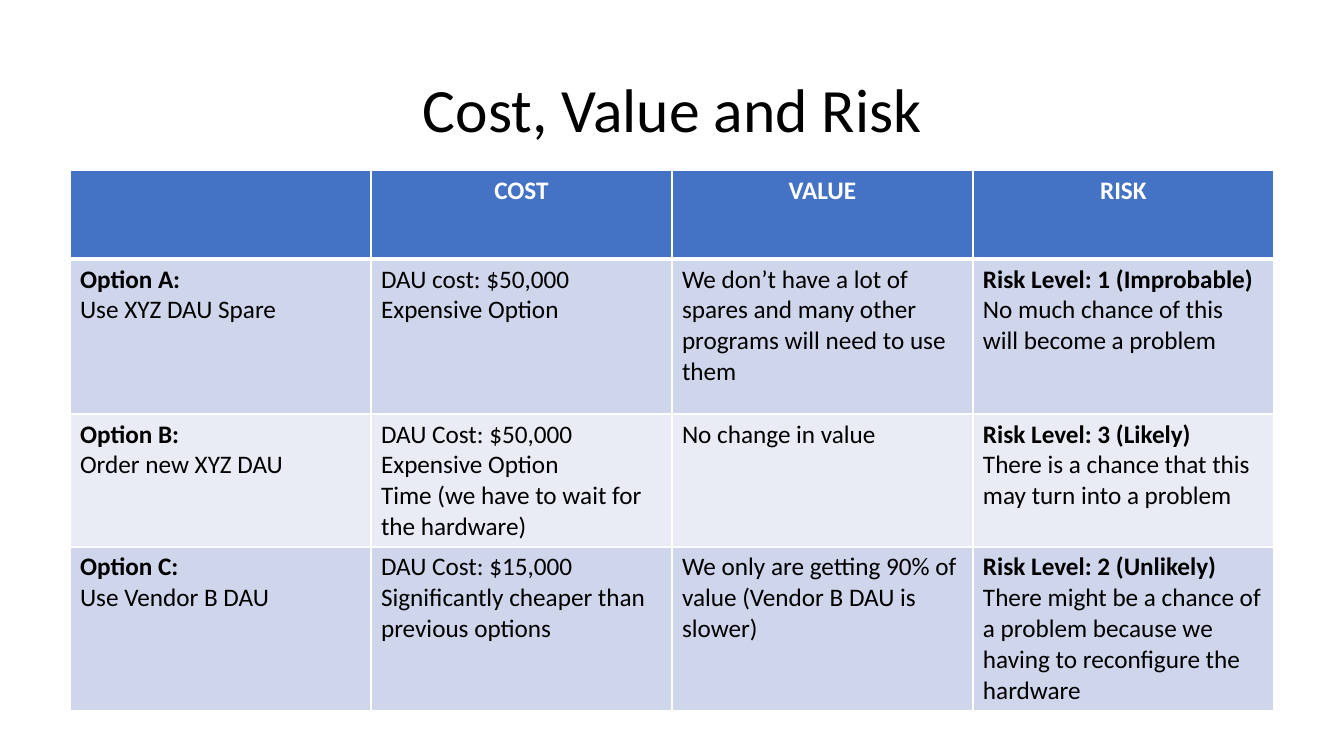
import pptx
import pptx.dml.color
import pptx.enum.text
import pptx.oxml
import pptx.oxml.ns
import pptx.util

TITLE = "Cost, Value and Risk"
HEADERS = ["", "COST", "VALUE", "RISK"]
# Each cell is a list of lines; the first and last columns open with a bold line
OPTIONS = [
    [["Option A:", "Use XYZ DAU Spare"],
     ["DAU cost: $50,000", "Expensive Option"],
     ["We don’t have a lot of spares and many other programs will need to use them"],
     ["Risk Level: 1 (Improbable)", "No much chance of this will become a problem"]],
    [["Option B:", "Order new XYZ DAU"],
     ["DAU Cost: $50,000", "Expensive Option", "Time (we have to wait for the hardware)"],
     ["No change in value"],
     ["Risk Level: 3 (Likely)", "There is a chance that this may turn into a problem"]],
    [["Option C:", "Use Vendor B DAU"],
     ["DAU Cost: $15,000", "Significantly cheaper than previous options"],
     ["We only are getting 90% of value (Vendor B DAU is slower)"],
     ["Risk Level: 2 (Unlikely)",
      "There might be a chance of a problem because we having to reconfigure the hardware"]],
]
BOLD_LEAD_COLUMNS = (0, 3)

FONT = "Calibri"
BLACK, WHITE = "000000", "FFFFFF"
HEADER_FILL = "4472C4"
BAND_FILLS = ["CFD5EA", "E9EBF5"]

# Lengths in px
SLIDE_SIZE = (1344, 756)
TITLE_BOX = (93, 40, 1159, 146)
TABLE_LEFT, TABLE_TOP, COLUMN_WIDTH = 70, 170, 301
ROW_HEIGHTS = [89, 155, 133, 164]
EMU_PER_PX = 914400 / 100.8

CENTER = pptx.enum.text.PP_ALIGN.CENTER
LEFT = pptx.enum.text.PP_ALIGN.LEFT


def px(length):
    return pptx.util.Emu(round(length * EMU_PER_PX))


def color(hex_string):
    return pptx.dml.color.RGBColor.from_string(hex_string)


def write_lines(text_frame, lines, size=18, ink=BLACK, align=LEFT, bold_lines=0, spacing=None):
    """Write one paragraph per line; the first bold_lines of them are bold."""
    for index, line in enumerate(lines):
        paragraph = text_frame.paragraphs[0] if index == 0 else text_frame.add_paragraph()
        paragraph.alignment = align
        paragraph.line_spacing = spacing
        paragraph.font.size = pptx.util.Pt(size)
        if not line:
            continue
        run = paragraph.add_run()
        run.text = line
        run.font.name = FONT
        run.font.size = pptx.util.Pt(size)
        run.font.bold = index < bold_lines
        run.font.color.rgb = color(ink)


def style_cell(cell, fill, top=1, bottom=1):
    """Draw white borders (widths in points), then the fill."""
    properties = cell._tc.get_or_add_tcPr()
    for side, width in (("L", 1), ("R", 1), ("T", top), ("B", bottom)):
        properties.append(pptx.oxml.parse_xml(
            f'<a:ln{side} {pptx.oxml.ns.nsdecls("a")} w="{pptx.util.Pt(width)}">'
            f'<a:solidFill><a:srgbClr val="{WHITE}"/></a:solidFill></a:ln{side}>'))
    cell.fill.solid()
    cell.fill.fore_color.rgb = color(fill)


def add_title(slide):
    text_frame = slide.shapes.add_textbox(*map(px, TITLE_BOX)).text_frame
    text_frame.word_wrap = True
    text_frame.vertical_anchor = pptx.enum.text.MSO_ANCHOR.MIDDLE
    write_lines(text_frame, [TITLE], size=44, align=CENTER, spacing=0.9)


def add_options_table(slide):
    table = slide.shapes.add_table(
        len(ROW_HEIGHTS), len(HEADERS), px(TABLE_LEFT), px(TABLE_TOP),
        px(COLUMN_WIDTH * len(HEADERS)), px(sum(ROW_HEIGHTS))).table
    for column in table.columns:
        column.width = px(COLUMN_WIDTH)
    for row, height in zip(table.rows, ROW_HEIGHTS):
        row.height = px(height)

    # Header row
    for column, header in enumerate(HEADERS):
        cell = table.cell(0, column)
        style_cell(cell, HEADER_FILL, bottom=3)
        write_lines(cell.text_frame, [header], ink=WHITE, align=CENTER, bold_lines=1)

    # Option rows in alternating bands
    for row, option in enumerate(OPTIONS, start=1):
        for column, lines in enumerate(option):
            cell = table.cell(row, column)
            style_cell(cell, BAND_FILLS[(row - 1) % 2], top=3 if row == 1 else 1)
            write_lines(cell.text_frame, lines, bold_lines=int(column in BOLD_LEAD_COLUMNS))


def main():
    presentation = pptx.Presentation()
    presentation.slide_width, presentation.slide_height = map(px, SLIDE_SIZE)
    slide = presentation.slides.add_slide(presentation.slide_layouts[6])
    add_title(slide)
    add_options_table(slide)
    presentation.save("out.pptx")


if __name__ == "__main__":
    main()
